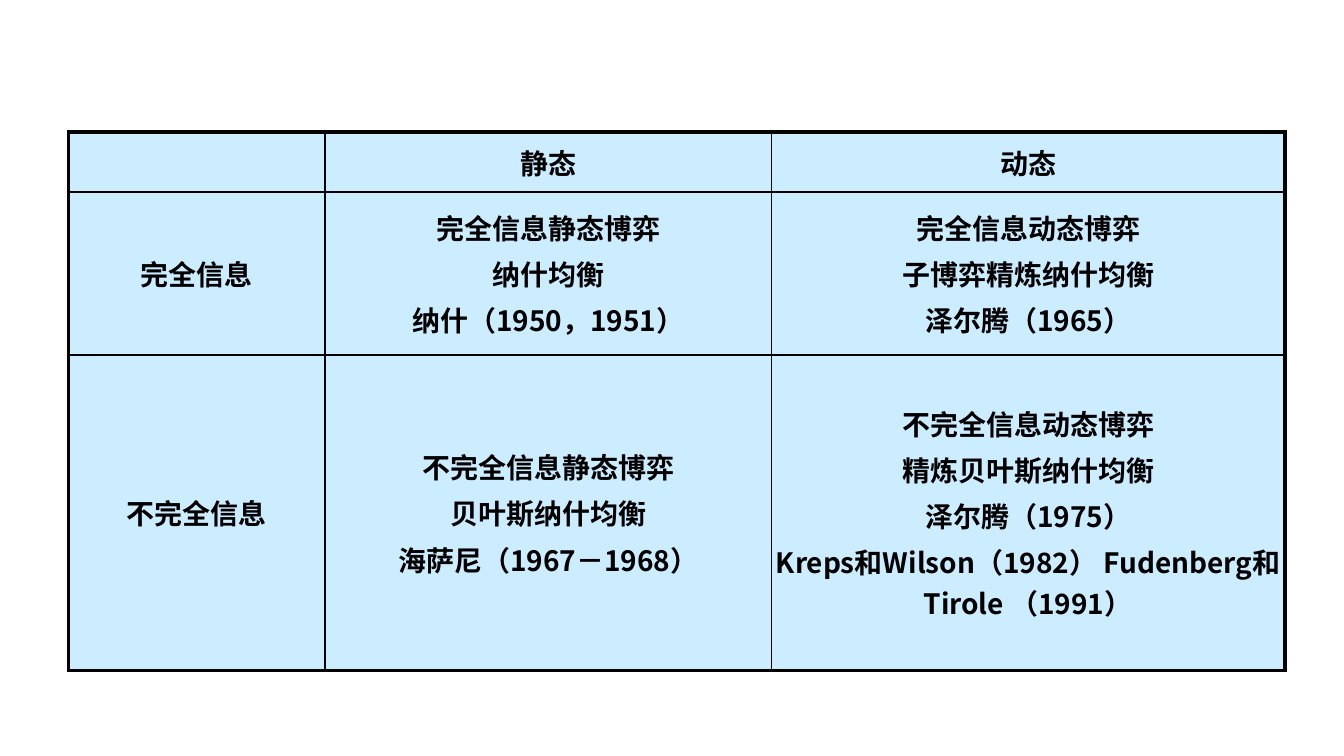
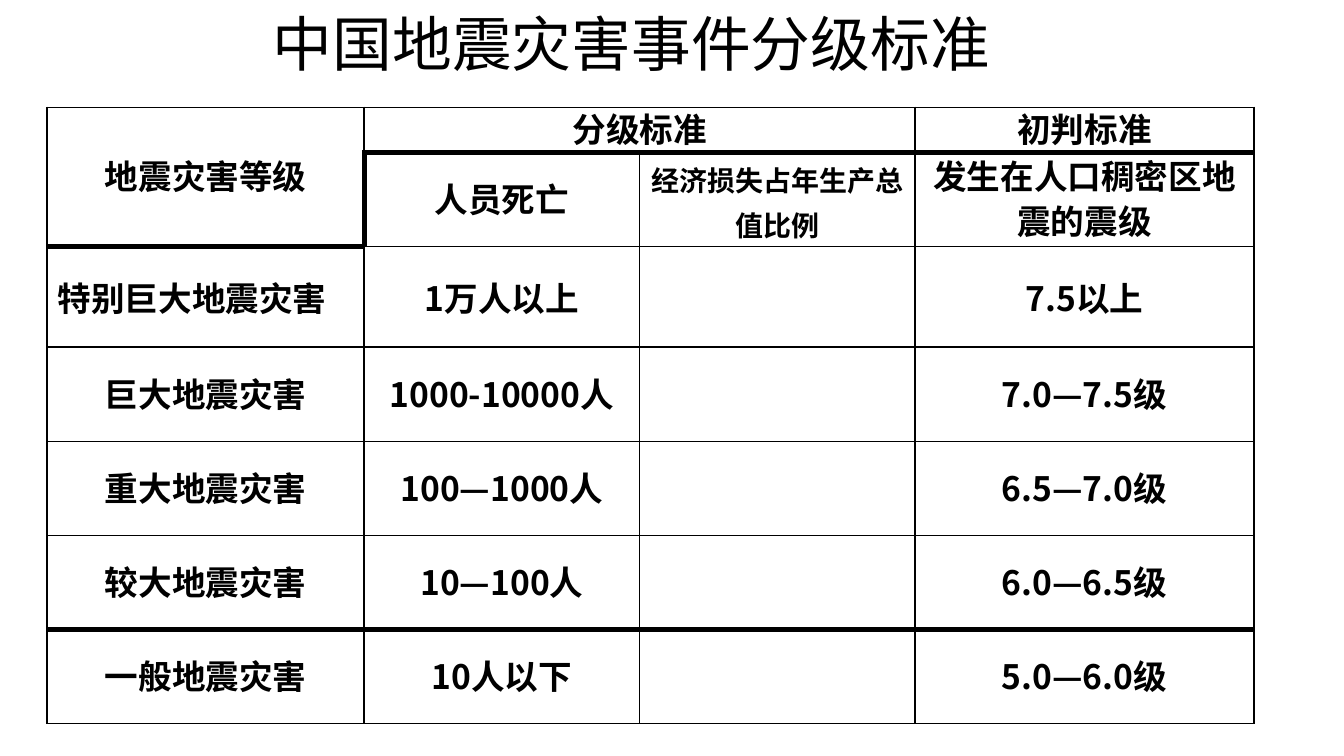
from lxml import etree
from pptx import Presentation
from pptx.dml.color import RGBColor
from pptx.enum.text import MSO_ANCHOR, MSO_AUTO_SIZE, PP_ALIGN
from pptx.oxml.ns import qn
from pptx.util import Inches, Pt

MIDDLE, TOP = MSO_ANCHOR.MIDDLE, MSO_ANCHOR.TOP
LEFT, CENTER = PP_ALIGN.LEFT, PP_ALIGN.CENTER
GROW = MSO_AUTO_SIZE.SHAPE_TO_FIT_TEXT
TITLE_ONLY, BLANK = 5, 6
INK, PALE_BLUE = "000000", "CCECFF"
TABLE_FONT, TITLE_FONT = "Noto Sans CJK SC", "Calibri"

GAMES = [
    ["", "静态", "动态"],
    ["完全信息", "完全信息静态博弈\n纳什均衡\n纳什（1950，1951）",
     "完全信息动态博弈\n子博弈精炼纳什均衡\n泽尔腾（1965）"],
    ["不完全信息", "不完全信息静态博弈\n贝叶斯纳什均衡\n海萨尼（1967－1968）",
     "不完全信息动态博弈\n精炼贝叶斯纳什均衡\n泽尔腾（1975）\n"
     "Kreps和Wilson（1982） Fudenberg和Tirole （1991）"],
]
QUAKES = [
    ["地震灾害等级", "分级标准", "", "初判标准"],
    ["", "人员死亡", "经济损失占年生产总值比例", "发生在人口稠密区地震的震级"],
    ["特别巨大地震灾害", "1万人以上", "", "7.5以上"],
    ["巨大地震灾害", "1000-10000人", "", "7.0—7.5级"],
    ["重大地震灾害", "100—1000人", "", "6.5—7.0级"],
    ["较大地震灾害", "10—100人", "", "6.0—6.5级"],
    ["一般地震灾害", "10人以下", "", "5.0—6.0级"],
]


def color(value):
    """Turn a hex string into a colour."""
    return RGBColor.from_string(value)


def assign(target, values):
    """Set attributes of an object from a dict."""
    for name, value in values.items():
        setattr(target, name, value)


def style_span(span, font, size, bold):
    """Format one run for Latin and East Asian letters alike."""
    assign(span.font, {"name": font, "size": Pt(size), "bold": bold})
    span.font.color.rgb = color(INK)
    etree.SubElement(span.font._element, qn("a:ea"), typeface=font)


def draw_borders(cell, row, column, heavy_edges, heavy):
    """Draw the four borders of a cell, heavy where its edge is listed."""
    edges = {
        "a:lnL": ("v", row, column),
        "a:lnR": ("v", row, column + cell.span_width),
        "a:lnT": ("h", row, column),
        "a:lnB": ("h", row + cell.span_height, column),
    }
    properties = cell._tc.get_or_add_tcPr()
    for tag, edge in edges.items():
        width = heavy if edge in heavy_edges else 1
        line = etree.SubElement(properties, qn(tag), w=str(Pt(width)))
        fill = etree.SubElement(line, qn("a:solidFill"))
        etree.SubElement(fill, qn("a:srgbClr"), val=INK)


def add_grid(page, box, texts, widths, heights, heavy_edges, heavy,
             cell_format, para_format, size, fill=None, merges=()):
    """Place a bordered table in a box and return it."""
    frame = page.shapes.add_table(len(heights), len(widths), *map(Inches, box))
    table = frame.table
    assign(table, {"first_row": False, "horz_banding": False})
    for column, width in zip(table.columns, widths):
        column.width = Inches(width)
    for line, height in zip(table.rows, heights):
        line.height = Inches(height)
    for start, end in merges:
        table.cell(*start).merge(table.cell(*end))
    for row, line in enumerate(texts):
        for column, text in enumerate(line):
            cell = table.cell(row, column)
            assign(cell, cell_format)
            draw_borders(cell, row, column, heavy_edges, heavy)
            if fill:
                cell.fill.solid()
                cell.fill.fore_color.rgb = color(fill)
            else:
                cell.fill.background()
            if not text:
                continue
            cell.text_frame.text = text
            for para in cell.text_frame.paragraphs:
                assign(para, para_format)
                for span in para.runs:
                    style_span(span, TABLE_FONT, size, True)
    return table


def set_title(page, box, text):
    """Move and format the title placeholder."""
    title = page.shapes.title
    assign(title, dict(zip(("left", "top", "width", "height"), map(Inches, box))))
    frame = title.text_frame
    frame.text = text
    assign(frame, {"word_wrap": False, "auto_size": GROW, "vertical_anchor": TOP})
    para = frame.paragraphs[0]
    para.alignment = LEFT
    style_span(para.runs[0], TITLE_FONT, 32, False)


def build_games(deck):
    """Build the slide that classes games by information and timing."""
    page = deck.slides.add_slide(deck.slide_layouts[BLANK])
    widths, heights = [1.91, 3.32, 3.82], [0.45, 1.21, 2.35]
    frame_edges = {("h", row, column) for row in (0, 3) for column in range(3)}
    frame_edges |= {("v", row, column) for row in range(3) for column in (0, 3)}
    margins = dict.fromkeys(
        ("margin_left", "margin_top", "margin_right", "margin_bottom"), 0)
    add_grid(page, (0.51, 0.98, 9.06, 4.02), GAMES, widths, heights,
             frame_edges, 2.25, {"vertical_anchor": MIDDLE, **margins},
             {"alignment": CENTER, "space_before": Pt(3)}, 15, PALE_BLUE)


def build_quakes(deck):
    """Build the slide that grades earthquake disasters."""
    page = deck.slides.add_slide(deck.slide_layouts[TITLE_ONLY])
    widths, heights = [2.36, 2.05, 2.05, 2.52], [0.32, 0.7, 0.75] + [0.7] * 4
    step_edges = {("h", 1, column) for column in range(1, 4)}
    step_edges |= {("h", 6, column) for column in range(4)}
    step_edges |= {("h", 2, 0), ("v", 1, 1)}
    cell_format = {"vertical_anchor": MIDDLE, "margin_top": 0, "margin_bottom": 0,
                   "margin_left": Inches(0.08), "margin_right": Inches(0.08)}
    table = add_grid(page, (0.35, 0.8, 8.98, 4.6), QUAKES, widths, heights,
                     step_edges, 3, cell_format,
                     {"alignment": CENTER, "line_spacing": Pt(24)}, 18,
                     merges=[((0, 0), (1, 0)), ((0, 1), (0, 2))])
    table.cell(1, 2).text_frame.paragraphs[0].runs[0].font.size = Pt(15)
    for column in range(4):
        table.cell(2, column).text_frame.paragraphs[0].line_spacing = None
    table.cell(2, 0).text_frame.paragraphs[0].alignment = LEFT
    set_title(page, (1.83, 0, 5.69, 0.64), " 中国地震灾害事件分级标准")


def main():
    """Build and save the deck in the 16:9 format."""
    deck = Presentation()
    width = Inches(10)
    assign(deck, {"slide_width": width, "slide_height": width * 9 // 16})
    build_games(deck)
    build_quakes(deck)
    deck.save("out.pptx")


if __name__ == "__main__":
    main()
